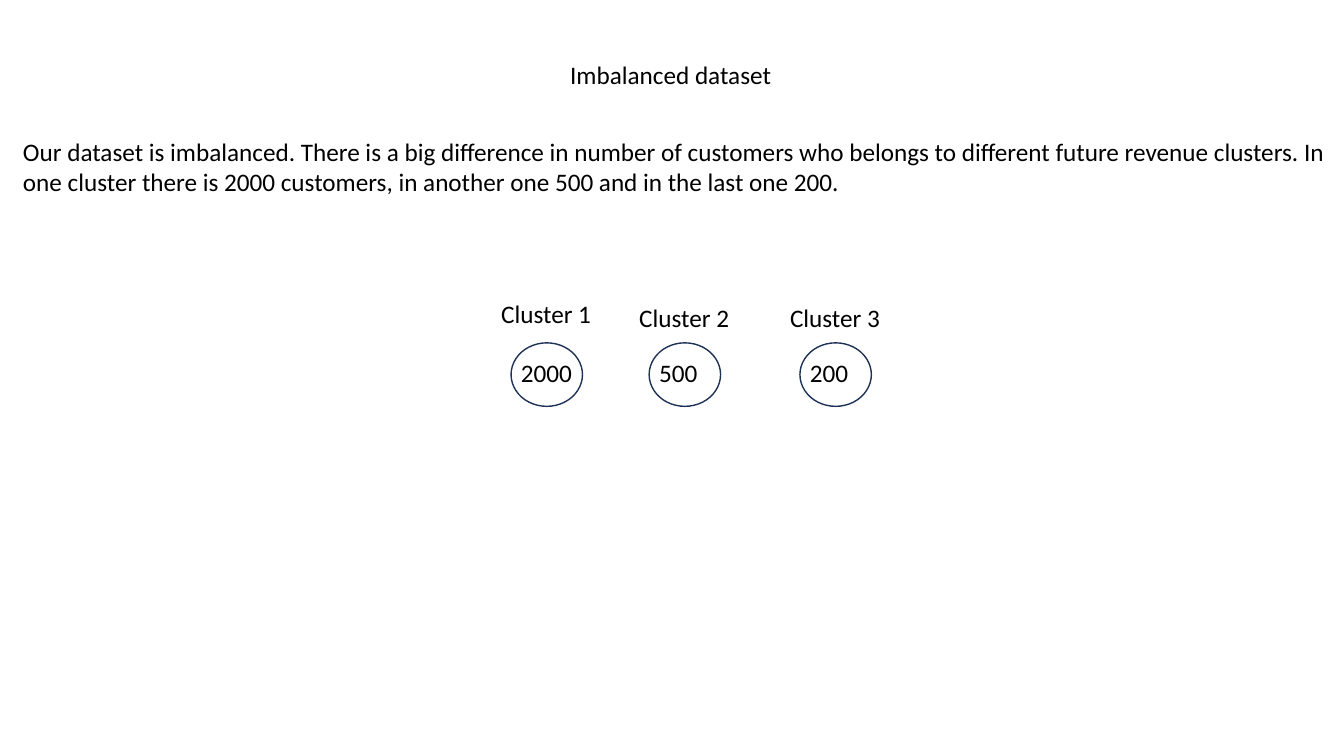
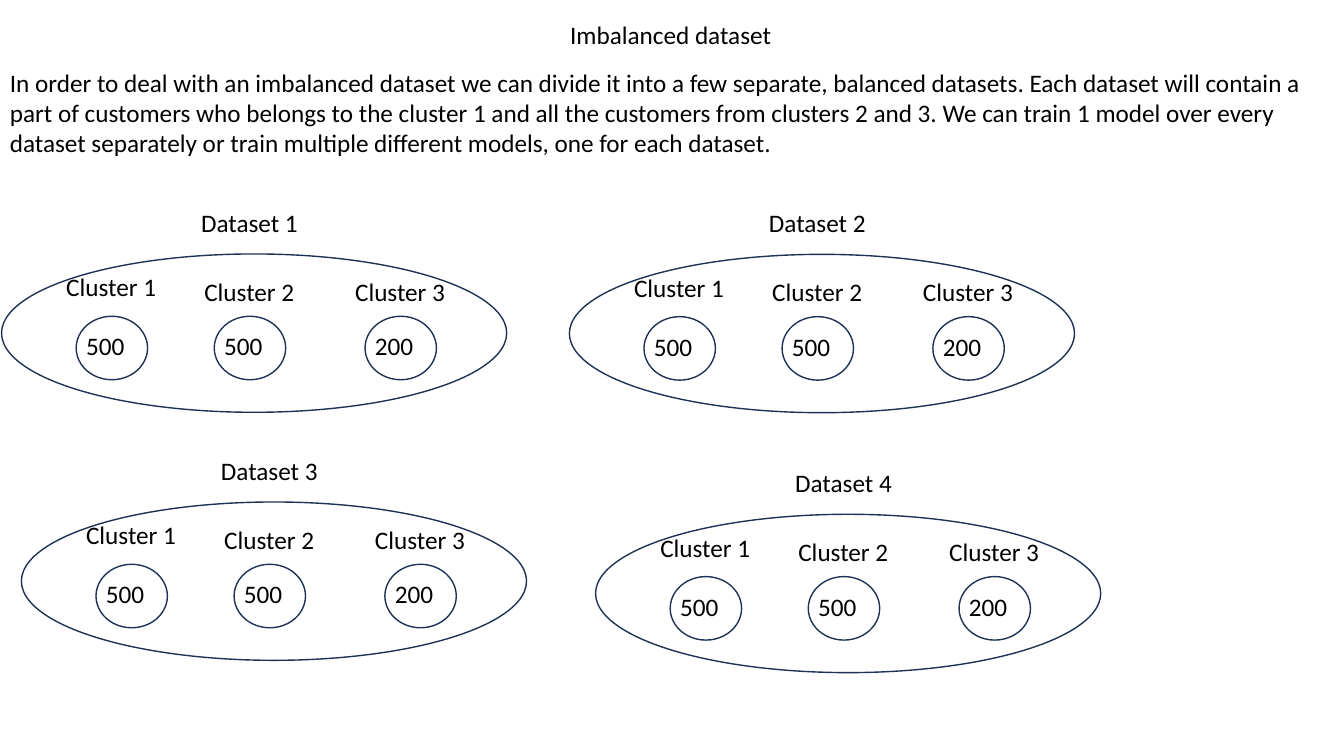
from pptx import Presentation
from pptx import util as u
from pptx.dml import color
from pptx.enum import shapes, text

COLOURS = {"ink": "000000", "outline": "1E3256"}
FONT = {"name": "Calibri", "size": u.Pt(18)}
TITLE = "Imbalanced dataset"
SLIDE_WIDTH, SLIDE_HEIGHT = 33.87, 19.05
LINE_HEIGHT = 1.03

# Places in a cluster row, in cm from the corner of its first circle
CLUSTER_STEPS = (0, 3.48, 7.28)
LABEL_RISES = (1.25, 1.14, 1.14)
CIRCLE = (1.8, 1.6)
DATASET_OVAL = (12.73, 3.99)

INTRO = ("Our dataset is imbalanced. There is a big difference in number of "
         "customers who belongs to different future revenue clusters. In one "
         "cluster there is 2000 customers, in another one 500 and in the last "
         "one 200.")
SOLUTION = ("In order to deal with an imbalanced dataset we can divide it into a "
            "few separate, balanced datasets. Each dataset will contain a part of "
            "customers who belongs to the cluster 1 and all the customers from "
            "clusters 2 and 3. We can train 1 model over every dataset separately "
            "or train multiple different models, one for each dataset.")


def rgb(name):
    return color.RGBColor.from_string(COLOURS[name])


def add_text(page, words, left, top, width, height=LINE_HEIGHT, wrap=False):
    box = page.shapes.add_textbox(u.Cm(left), u.Cm(top), u.Cm(width), u.Cm(height))
    frame = {"word_wrap": wrap, "auto_size": text.MSO_AUTO_SIZE.SHAPE_TO_FIT_TEXT}
    for key, value in frame.items():
        setattr(box.text_frame, key, value)
    para = box.text_frame.paragraphs[0]
    span = para.add_run()
    span.text = words
    for key, value in FONT.items():
        setattr(span.font, key, value)
    span.font.color.rgb = rgb("ink")


def add_oval(page, left, top, size):
    width, height = size
    oval = page.shapes.add_shape(shapes.MSO_SHAPE.OVAL, u.Cm(left), u.Cm(top),
                                 u.Cm(width), u.Cm(height))
    oval.shadow.inherit = False
    oval.fill.background()
    oval.line.color.rgb = rgb("outline")
    oval.line.width = u.Pt(1)


def add_clusters(page, left, top, counts):
    rows = zip(counts, CLUSTER_STEPS, LABEL_RISES)
    for number, (count, step, rise) in enumerate(rows, start=1):
        x = left + step
        add_text(page, str(count), x, top + 0.24, 1.8 if count > 999 else 1.5)
        add_oval(page, x, top, CIRCLE)
        add_text(page, f"Cluster {number}", x - 0.5, top - rise, 2.79)


def add_dataset(page, number, left, top):
    add_clusters(page, left, top, (500, 500, 200))
    add_text(page, f"Dataset {number}", left + 2.9, top - 2.87, 2.97)
    add_oval(page, left - 1.88, top - 1.57, DATASET_OVAL)


def add_page(deck, title_top, body, body_left, body_top, body_lines):
    page = deck.slides.add_slide(deck.slide_layouts[6])
    add_text(page, body, body_left, body_top, SLIDE_WIDTH,
             0.25 + 0.77 * body_lines, wrap=True)
    add_text(page, TITLE, 14.12, title_top, 5.64)
    return page


def main():
    deck = Presentation()
    deck.slide_width, deck.slide_height = u.Cm(SLIDE_WIDTH), u.Cm(SLIDE_HEIGHT)

    # The imbalanced clusters
    page = add_page(deck, 1.37, INTRO, 0.33, 3.3, 2)
    add_clusters(page, 12.88, 8.64, (2000, 500, 200))

    # Four balanced datasets
    page = add_page(deck, 0.36, SOLUTION, 0, 1.57, 3)
    corners = ((1.92, 7.97), (16.23, 7.98), (2.42, 14.22), (16.89, 14.53))
    for number, (left, top) in enumerate(corners, start=1):
        add_dataset(page, number, left, top)

    deck.save("out.pptx")


main()
